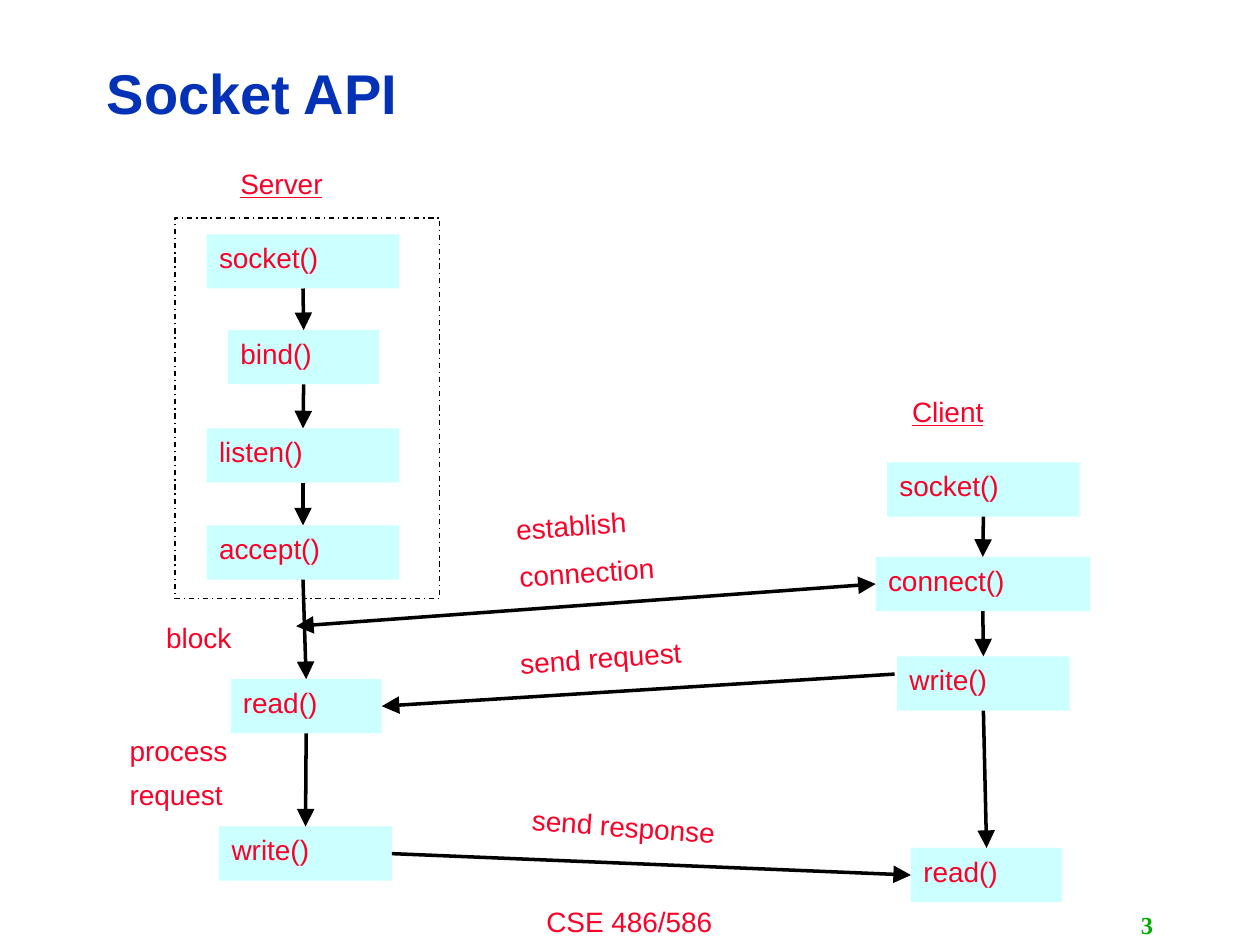
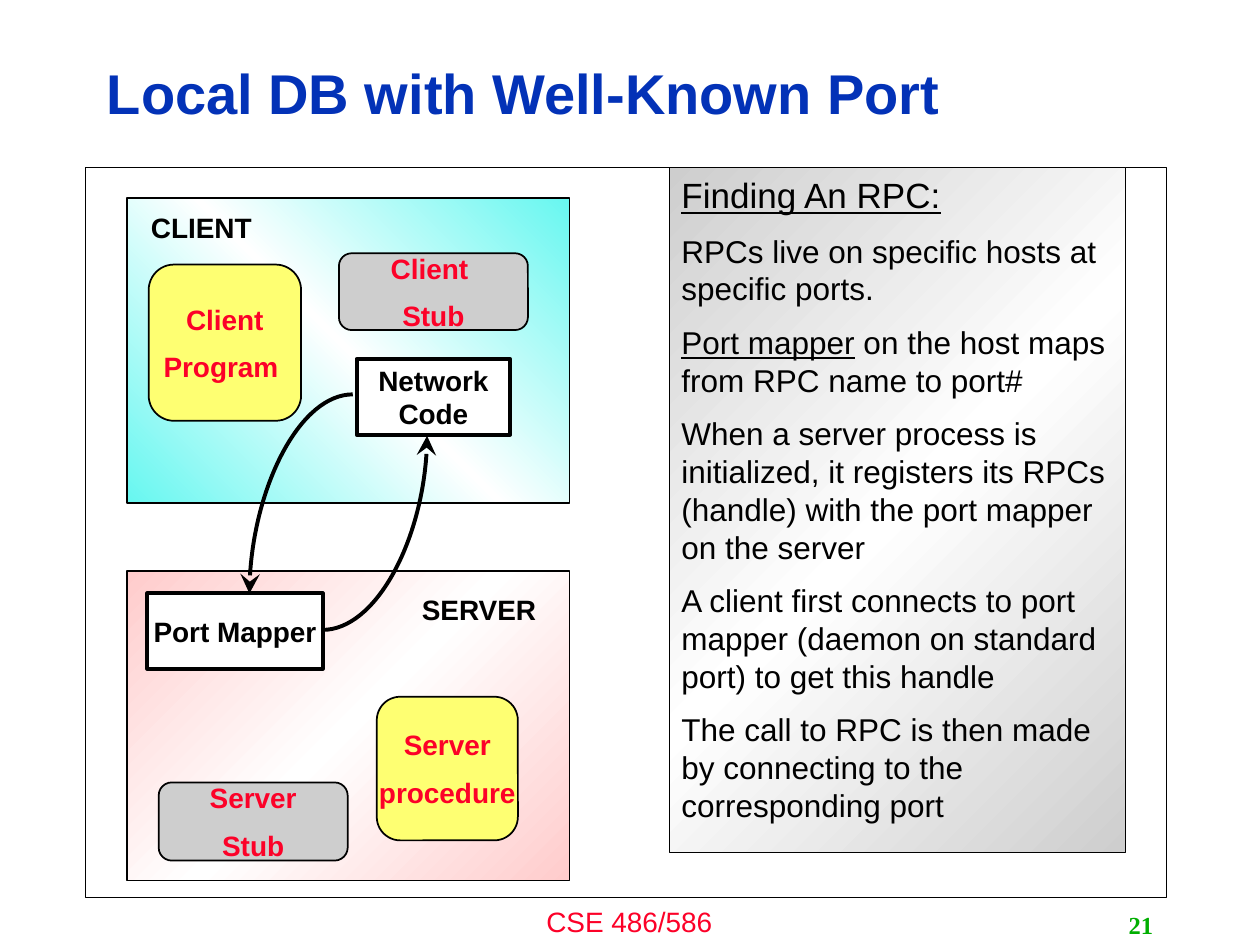
from copy import deepcopy

from pptx import Presentation
from pptx.dml import color
from pptx.enum import dml, shapes, text
from pptx.oxml import ns
from pptx.util import Emu, Pt
from lxml import etree

PX = 9144  # one px is a hundredth of an inch
RED, BLUE, GREEN, BLACK, WHITE = "FC0128", "0332B7", "00AE00", "000000", "FFFFFF"
AQUA, YELLOW, GRAY, PINK, CYAN = "CCFFFF", "FEFF72", "CECECE", "FFCCCC", "67F7F0"
TOP, LEFT, BOTTOM, RIGHT = range(4)
RECT = shapes.MSO_SHAPE.RECTANGLE
ROUND = shapes.MSO_SHAPE.ROUNDED_RECTANGLE
MIDDLE = text.MSO_ANCHOR.MIDDLE
CENTER = text.PP_ALIGN.CENTER


def px(*nums):
    return [Emu(n * PX) for n in nums]


def rgb(code):
    return color.RGBColor.from_string(code)


# Text
def write(shape, lines, size=16, ink=RED, font="Arial", bold=False, under=False,
          align=text.PP_ALIGN.LEFT, anchor=text.MSO_ANCHOR.TOP, pitch=None,
          inset=(10, 5), wrap=True):
    """Each line is a string or a list of (string, size, underline) runs."""
    frame = shape.text_frame
    frame.word_wrap = wrap
    frame.vertical_anchor = anchor
    frame.margin_left = frame.margin_right = px(inset[0])[0]
    frame.margin_top = frame.margin_bottom = px(inset[1])[0]
    for i, line in enumerate(lines):
        para = frame.add_paragraph() if i else frame.paragraphs[0]
        para.alignment = align
        para.line_spacing = pitch
        runs = [(line, size, under)] if isinstance(line, str) else line
        if i:
            para.space_before = Pt(runs[0][1] / 2)
        for words, points, mark in runs:
            run = para.add_run()
            run.text = words
            face = run.font
            face.name, face.size, face.bold = font, Pt(points), bold
            face.underline = mark
            face.color.rgb = rgb(ink)


def label(slide, at, *lines, turn=0, **fmt):
    box = slide.shapes.add_textbox(*px(*at))
    box.rotation = turn
    write(box, lines, **fmt)


# Boxes
def blend(shape, edge, angle):
    """Fill from edge colour to white and back, angle counter-clockwise."""
    fill = shape.fill
    fill.gradient()
    fill.gradient_angle = angle
    stops = shape._element.spPr.find(".//" + ns.qn("a:gsLst"))
    stops.append(deepcopy(stops[0]))
    for stop, place, tone in zip(fill.gradient_stops, (0, 0.5, 1), (edge, WHITE, edge)):
        stop.position = place
        stop.color.rgb = rgb(tone)


def block(slide, at, fill=None, line=None, dash=None, angle=None, kind=RECT):
    shape = slide.shapes.add_shape(kind, *px(*at))
    shape.shadow.inherit = False
    if angle is not None:
        blend(shape, fill, angle)
    elif fill:
        shape.fill.solid()
        shape.fill.fore_color.rgb = rgb(fill)
    else:
        shape.fill.background()
    if line:
        shape.line.color.rgb = rgb(BLACK)
        shape.line.width = Pt(line)
        shape.line.dash_style = dash
    else:
        shape.line.fill.background()
    return shape


def call(slide, x, y, w, name):
    shape = block(slide, (x, y, w, 43), AQUA)
    write(shape, [name])
    return shape


def part(slide, at, *lines, fill=WHITE, line=1, ink=RED, kind=ROUND):
    shape = block(slide, at, fill, line, kind=kind)
    write(shape, lines, ink=ink, bold=True, align=CENTER, anchor=MIDDLE,
          inset=(0, 0), wrap=kind == RECT)


# Lines
def arrow(slide, ends, start=None, stop=None, width=2, tip="triangle", both=False, curve=False):
    """Draw an arrow; start and stop are (shape, side) pairs to join."""
    kind = shapes.MSO_CONNECTOR.CURVE if curve else shapes.MSO_CONNECTOR.STRAIGHT
    link = slide.shapes.add_connector(kind, *px(*ends))
    link.line.color.rgb = rgb(BLACK)
    link.line.width = Pt(width)
    if start:
        link.begin_connect(*start)
    if stop:
        link.end_connect(*stop)
    props = link._element.spPr
    if curve:
        props.find(ns.qn("a:prstGeom")).set("prst", "curvedConnector2")
    stroke = props.find(ns.qn("a:ln"))
    for tag in ("a:headEnd", "a:tailEnd") if both else ("a:tailEnd",):
        etree.SubElement(stroke, ns.qn(tag), type=tip, w="lg", len="lg")
    etree.SubElement(props, ns.qn("a:effectLst"))


def chain(slide, steps):
    for one, two in zip(steps, steps[1:]):
        arrow(slide, (0, 0, 0, 0), (one, BOTTOM), (two, TOP))


# Shared slide frame
def page(deck, title, number):
    slide = deck.slides.add_slide(deck.slide_layouts[6])
    label(slide, (333, 713, 333, 37), "CSE 486/586", align=CENTER)
    label(slide, (75, 36, 798, 81), title, size=32, ink=BLUE, bold=True,
          anchor=MIDDLE, pitch=0.9)
    label(slide, (717, 718, 208, 32), number, size=14, ink=GREEN, bold=True,
          font="Times New Roman", align=text.PP_ALIGN.RIGHT, anchor=MIDDLE)
    return slide


def sockets(deck):
    slide = page(deck, "Socket API", "3")

    # Call sequences
    server = [call(slide, *row) for row in (
        (164, 186, 153, "socket()"), (181, 262, 120, "bind()"),
        (164, 340, 153, "listen()"), (164, 417, 153, "accept()"),
        (183, 539, 120, "read()"), (174, 656, 137, "write()"))]
    client = [call(slide, *row) for row in (
        (704, 367, 153, "socket()"), (695, 442, 170, "connect()"),
        (712, 521, 137, "write()"), (723, 673, 120, "read()"))]
    chain(slide, server)
    chain(slide, client)
    block(slide, (139, 173, 210, 302), line=0.75, dash=dml.MSO_LINE.DASH_DOT)

    # Messages between the two sides
    arrow(slide, (702, 463, 235, 497), start=(client[1], LEFT), both=True)
    arrow(slide, (710, 535, 298, 560), stop=(server[4], RIGHT))
    arrow(slide, (311, 673, 723, 694), (server[5], RIGHT), (client[3], LEFT))
    label(slide, (401, 396, 187, 77), "establish", "connection", turn=356)
    label(slide, (403, 501, 220, 43), "send request", turn=356)
    label(slide, (412, 640, 237, 43), "send response", turn=4.1)

    # Headings and side notes
    label(slide, (181, 127, 120, 43), "Server", under=True)
    label(slide, (714, 308, 120, 43), "Client", under=True)
    label(slide, (122, 488, 103, 43), "block")
    label(slide, (93, 580, 137, 70), "process", "request", pitch=0.9)


def mapper(deck):
    slide = page(deck, "Local DB with Well-Known Port", "21")

    # Host panels and frame
    block(slide, (101, 453, 351, 246), PINK, 1, angle=315)
    block(slide, (101, 157, 351, 242), CYAN, 1, angle=45)
    block(slide, (68, 133, 858, 579), line=0.25)
    label(slide, (325, 465, 124, 34), "SERVER", ink=BLACK, bold=True)
    label(slide, (110, 162, 124, 34), "CLIENT", ink=BLACK, bold=True)

    # Parts on each host
    part(slide, (118, 210, 121, 124), "Client", "Program ", fill=YELLOW)
    part(slide, (299, 553, 112, 114), "Server", "procedure", fill=YELLOW)
    part(slide, (126, 621, 150, 62), "Server", "Stub", fill=GRAY)
    part(slide, (269, 201, 150, 61), "Client ", "Stub", fill=GRAY)
    part(slide, (283, 285, 122, 60), "Network Code", line=2.25, ink=BLACK, kind=RECT)
    part(slide, (117, 471, 139, 60), "Port Mapper", line=2.25, ink=BLACK, kind=RECT)
    for ends in ((280, 313, 198, 471), (256, 500, 339, 346)):
        arrow(slide, ends, width=2.25, tip="stealth", curve=True)

    # Explanation
    panel = block(slide, (531, 133, 362, 544), GRAY, 0.5, angle=315)
    write(panel, [
        [("Finding An RPC:", 20, True)],
        "RPCs live on specific hosts at specific ports.",
        [("Port mapper", 18, True), (" on the host maps from RPC name to port#", 18, False)],
        "When a server process is initialized, it registers its RPCs (handle) "
        "with the port mapper on the server",
        "A client first connects to port mapper (daemon on standard port) to get this handle",
        "The call to RPC is then made by connecting to the corresponding port",
    ], size=18, ink=BLACK)


def main():
    deck = Presentation()
    deck.slide_width, deck.slide_height = px(1000, 750)
    sockets(deck)
    mapper(deck)
    deck.save("out.pptx")


if __name__ == "__main__":
    main()
